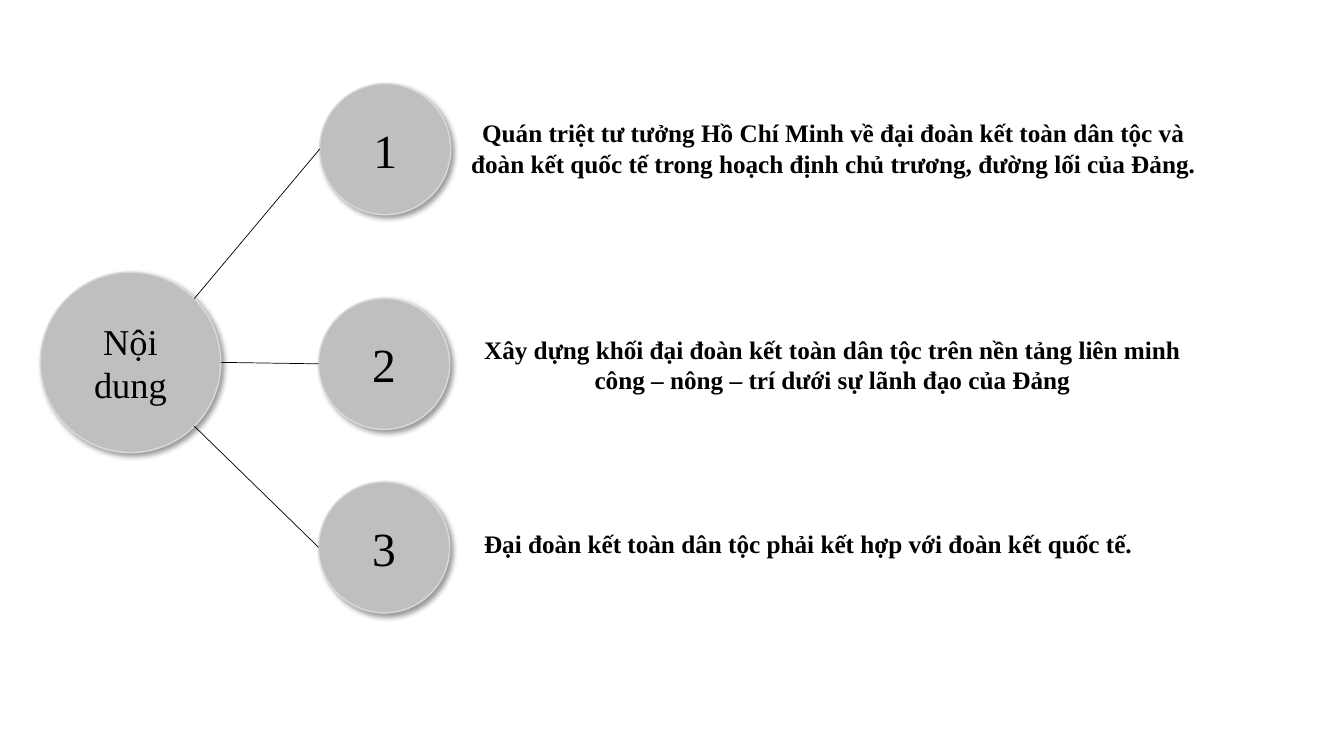
from collections import namedtuple
from dataclasses import dataclass
from math import cos, radians, sin

from lxml.etree import SubElement
from pptx import Presentation
from pptx.dml.color import RGBColor as Color
from pptx.enum.shapes import MSO_CONNECTOR as Connector, MSO_SHAPE as Shape
from pptx.enum.text import MSO_ANCHOR as Anchor, PP_ALIGN as Align
from pptx.oxml import parse_xml
from pptx.oxml.ns import nsdecls, qn
from pptx.util import Inches, Pt


@dataclass(frozen=True)
class Theme:
    font: str = "Times New Roman"
    ink: Color = Color(0x00, 0x00, 0x00)
    disc: Color = Color(0xBF, 0xBF, 0xBF)
    rim: Color = Color(0xD9, 0xD9, 0xD9)
    hub_size: Pt = Pt(26)
    number_size: Pt = Pt(34)
    caption_size: Pt = Pt(18)


theme = Theme()
presentation = Presentation()
presentation.slide_width, presentation.slide_height = Inches(13.33), Inches(7.5)
slide = presentation.slides.add_slide(presentation.slide_layouts[6])

# Square grid: one hundred columns across the slide, rows of the same size
CELL = presentation.slide_width / 100
SHADOW = (
    f'<a:effectLst {nsdecls("a")}>'
    f'<a:outerShdw blurRad="{Pt(4)}" dist="{Pt(3)}" dir="{45 * 60000}" algn="tl" rotWithShape="0">'
    '<a:srgbClr val="000000"><a:alpha val="40000"/></a:srgbClr>'
    '</a:outerShdw></a:effectLst>'
)


def write(shape, text, size, bold=False):
    """Set one centred line of text in the middle of a shape."""
    frame = shape.text_frame
    frame.word_wrap = True
    frame.vertical_anchor = Anchor.MIDDLE
    paragraph = frame.paragraphs[0]
    paragraph.alignment = Align.CENTER
    run = paragraph.add_run()
    run.text = text
    run.font.name, run.font.size, run.font.bold = theme.font, size, bold
    run.font.color.rgb = theme.ink


def add_disc(x, y, diameter, text, size):
    """Add a shadowed circle centred on grid point x, y."""
    left, top = x - diameter / 2, y - diameter / 2
    disc = slide.shapes.add_shape(
        Shape.OVAL, *(round(n * CELL) for n in (left, top, diameter, diameter)))
    disc.fill.solid()
    disc.fill.fore_color.rgb = theme.disc
    disc.line.color.rgb = theme.rim
    disc.line.width = Pt(1)
    disc._element.spPr.append(parse_xml(SHADOW))
    frame = disc.text_frame
    frame.margin_left = frame.margin_right = 0
    write(disc, text, size)


HUB_X, HUB_Y, HUB_DIAMETER = 9.71, 26.97, 13.43
TOPIC_DIAMETER = 9.75
CAPTION_WIDTH = 56.94

Topic = namedtuple("Topic", "x y angle caption_left caption_y caption_height caption")
topics = [
    Topic(28.66, 11.1, -45, 33.53, 11, 5.33,
          "Quán triệt tư tưởng Hồ Chí Minh về đại đoàn kết toàn dân tộc và "
          "đoàn kết quốc tế trong hoạch định chủ trương, đường lối của Đảng."),
    Topic(28.58, 27.08, 0, 33.46, 27.12, 5.33,
          "Xây dựng khối đại đoàn kết toàn dân tộc trên nền tảng liên minh "
          "công – nông – trí dưới sự lãnh đạo của Đảng"),
    Topic(28.58, 40.74, 45, 31.66, 40.44, 3,
          "Đại đoàn kết toàn dân tộc phải kết hợp với đoàn kết quốc tế."),
]

add_disc(HUB_X, HUB_Y, HUB_DIAMETER, "Nội dung", theme.hub_size)

for number, topic in enumerate(topics, start=1):
    add_disc(topic.x, topic.y, TOPIC_DIAMETER, str(number), theme.number_size)

    caption_top = topic.caption_y - topic.caption_height / 2
    caption = slide.shapes.add_textbox(*(round(n * CELL) for n in (
        topic.caption_left, caption_top, CAPTION_WIDTH, topic.caption_height)))
    write(caption, topic.caption, theme.caption_size, bold=True)

    # Each spoke leaves the hub's rim at its own angle and ends at the disc's left edge
    angle = radians(topic.angle)
    rim_x = HUB_X + HUB_DIAMETER / 2 * cos(angle)
    rim_y = HUB_Y + HUB_DIAMETER / 2 * sin(angle)
    spoke = slide.shapes.add_connector(Connector.STRAIGHT, *(round(n * CELL) for n in (
        rim_x, rim_y, topic.x - TOPIC_DIAMETER / 2, topic.y)))
    spoke.line.color.rgb = theme.ink
    spoke.line.width = Pt(0.5)
    SubElement(spoke._element.spPr, qn("a:effectLst"))

presentation.save("out.pptx")
